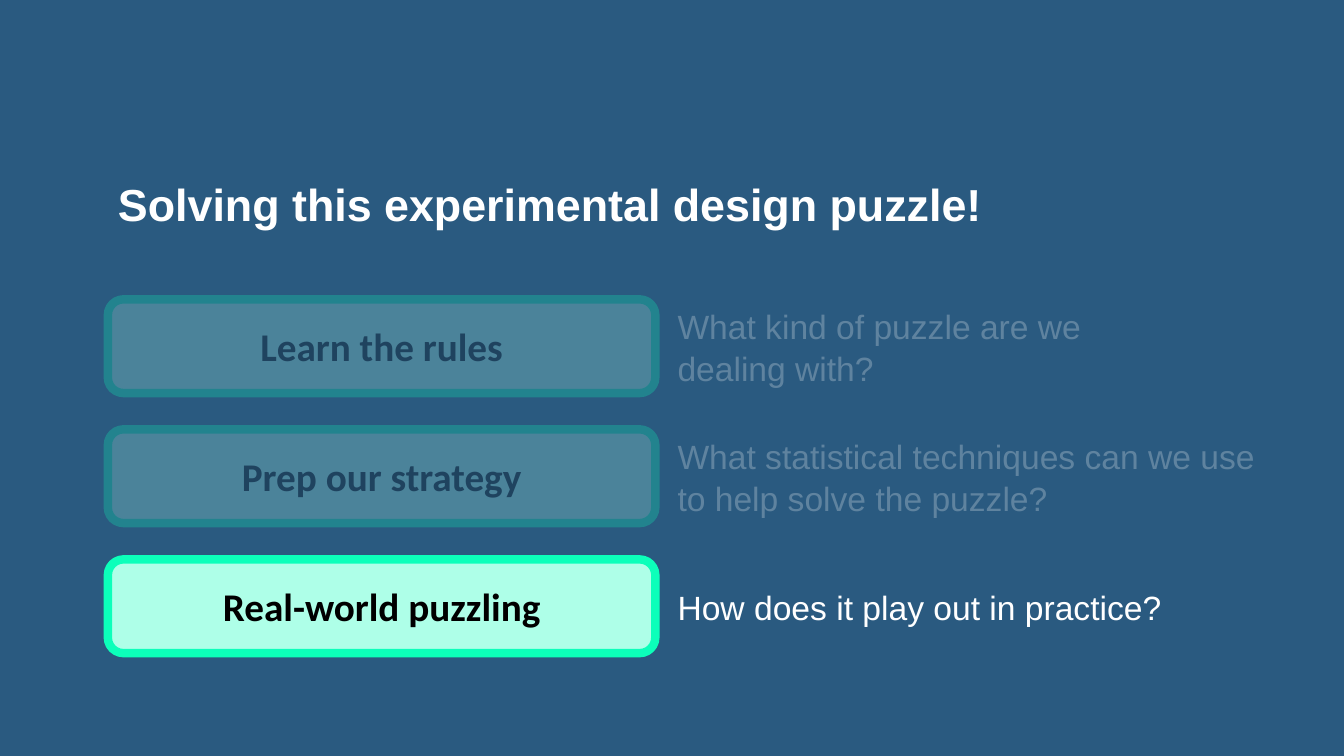
from dataclasses import dataclass

from lxml import etree
from pptx import Presentation
from pptx.dml.color import RGBColor
from pptx.enum import shapes, text
from pptx.oxml import ns
from pptx.util import Inches, Pt

NAVY = RGBColor(0x2A, 0x5A, 0x80)
MINT = RGBColor(0xAE, 0xFF, 0xE8)
GREEN = RGBColor(0x0C, 0xFF, 0xBA)
BLACK = RGBColor(0, 0, 0)
WHITE = RGBColor(0xFF, 0xFF, 0xFF)

LEFT = 1.07
FIRST_STEP_TOP = 2.97
STEP_PITCH = 1.29


@dataclass
class Step:
    label: str
    question: str
    question_width: float


STEPS = [
    Step("Learn the rules", "What kind of puzzle are we dealing with?", 5.14),
    Step("Prep our strategy",
         "What statistical techniques can we use to help solve the puzzle?", 5.83),
    Step("Real-world puzzling", "How does it play out in practice?", 5.14),
]


def write(frame, words: str, *, size: float, color: RGBColor, font: str = "Arial",
          bold: bool = False, align=text.PP_ALIGN.LEFT, spacing: float = 1.0,
          inset: float | None = None) -> None:
    """Put one vertically centred, wrapped paragraph into a text frame."""
    frame.word_wrap = True
    frame.auto_size = text.MSO_AUTO_SIZE.NONE
    frame.vertical_anchor = text.MSO_ANCHOR.MIDDLE
    if inset is not None:
        frame.margin_left = frame.margin_right = Inches(inset)
        frame.margin_top = frame.margin_bottom = Inches(inset)
    paragraph = frame.paragraphs[0]
    paragraph.text = words
    paragraph.alignment = align
    paragraph.line_spacing = spacing
    paragraph.font.name = font
    paragraph.font.size = Pt(size)
    paragraph.font.bold = bold
    paragraph.font.color.rgb = color


def add_title(slide, words: str) -> None:
    title = slide.shapes.title
    title.left, title.top = Inches(LEFT), Inches(1.7)
    title.width, title.height = Inches(11.3), Inches(0.71)
    write(title.text_frame, words, size=32, color=WHITE, bold=True, spacing=0.9)


def add_step(slide, step: Step, top: float) -> None:
    button = slide.shapes.add_shape(
        shapes.MSO_SHAPE.ROUNDED_RECTANGLE,
        Inches(LEFT), Inches(top), Inches(5.43), Inches(0.93))
    button.shadow.inherit = False
    button.fill.solid()
    button.fill.fore_color.rgb = MINT
    button.line.color.rgb = GREEN
    button.line.width = Pt(6)
    write(button.text_frame, step.label, size=28, color=BLACK, font="Calibri",
          bold=True, align=text.PP_ALIGN.CENTER)

    question = slide.shapes.add_textbox(
        Inches(6.72), Inches(top + 0.05), Inches(step.question_width), Inches(0.82))
    write(question.text_frame, step.question, size=24, color=WHITE, spacing=1.05,
          inset=0)


def add_veil(slide) -> None:
    """Dim the finished steps with a translucent panel."""
    veil = slide.shapes.add_shape(
        shapes.MSO_SHAPE.RECTANGLE,
        Inches(0.78), Inches(2.55), Inches(11.94), Inches(2.8))
    veil.shadow.inherit = False
    veil.line.fill.background()
    veil.fill.solid()
    veil.fill.fore_color.rgb = NAVY
    color = veil.fill._xPr.find(".//" + ns.qn("a:srgbClr"))
    etree.SubElement(color, ns.qn("a:alpha"), val="75000")


def main() -> None:
    deck = Presentation()
    deck.slide_width, deck.slide_height = Inches(13.33), Inches(7.5)
    slide = deck.slides.add_slide(deck.slide_layouts.get_by_name("Title Only"))
    slide.background.fill.solid()
    slide.background.fill.fore_color.rgb = NAVY

    add_title(slide, "Solving this experimental design puzzle!")
    for row, step in enumerate(STEPS):
        add_step(slide, step, FIRST_STEP_TOP + row * STEP_PITCH)
    add_veil(slide)
    deck.save("out.pptx")


if __name__ == "__main__":
    main()
